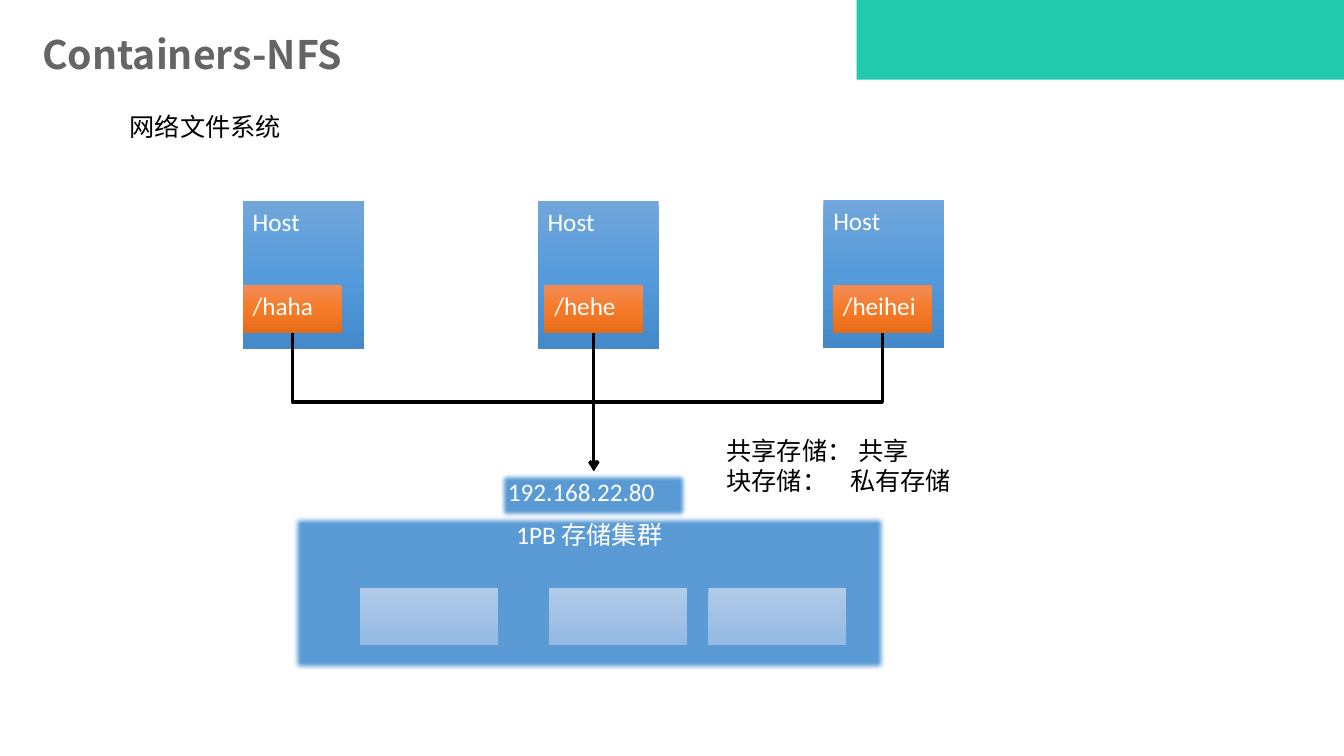
from copy import deepcopy

from lxml import etree
from pptx import Presentation
from pptx.dml.color import RGBColor
from pptx.enum.shapes import MSO_CONNECTOR, MSO_SHAPE
from pptx.enum.text import MSO_ANCHOR, PP_ALIGN
from pptx.oxml.ns import qn
from pptx.util import Cm, Pt

RECTANGLE = MSO_SHAPE.RECTANGLE
STRAIGHT, ELBOW = MSO_CONNECTOR.STRAIGHT, MSO_CONNECTOR.ELBOW
TOP, BOTTOM = MSO_ANCHOR.TOP, MSO_ANCHOR.BOTTOM
LEFT, CENTER = PP_ALIGN.LEFT, PP_ALIGN.CENTER

LATIN_FONT = "Calibri"
CJK_FONT = "Noto Sans CJK SC"

WHITE = RGBColor(0xFF, 0xFF, 0xFF)
BLACK = RGBColor(0x00, 0x00, 0x00)
GRAY = RGBColor(0x65, 0x65, 0x65)
TEAL = RGBColor(0x21, 0xC9, 0xAD)
BLUE = RGBColor(0x5B, 0x9B, 0xD5)
HOST_BLUES = [RGBColor(0x71, 0xA6, 0xDB), RGBColor(0x55, 0x9B, 0xDB), RGBColor(0x44, 0x8A, 0xCA)]
MOUNT_ORANGES = [RGBColor(0xF1, 0x8C, 0x57), RGBColor(0xF6, 0x7B, 0x28), RGBColor(0xE5, 0x6C, 0x19)]
DISK_BLUES = [RGBColor(0xB1, 0xCB, 0xE9), RGBColor(0xA3, 0xC1, 0xE5), RGBColor(0x93, 0xB9, 0xE4)]

# Content; all lengths are in centimetres
SLIDE_WIDTH, SLIDE_HEIGHT = 33.87, 19.05
TITLE = "Containers-NFS"
SUBTITLE = "网络文件系统"
NOTES = ["共享存储： 共享", "块存储：\t私有存储"]
NOTE_TAB = 3.12
CLUSTER = "1PB 存储集群"
ADDRESS = "192.168.22.80"
HOST_NAME = "Host"
# host left, host top, mount point, mount left
HOSTS = [
    (6.12, 5.07, "/haha", 6.12),
    (13.55, 5.07, "/hehe", 13.72),
    (20.75, 5.04, "/heihei", 20.99),
]
HOST_WIDTH, HOST_HEIGHT = 3.05, 3.73
MOUNT_TOP, MOUNT_WIDTH, MOUNT_HEIGHT = 7.19, 2.49, 1.2
DISK_LEFTS = [9.07, 13.83, 17.85]
DISK_TOP, DISK_WIDTH, DISK_HEIGHT = 14.81, 3.48, 1.45
ADDRESS_TOP = 11.87
SOFT_EDGE = Pt(4)

presentation = Presentation()
presentation.slide_width, presentation.slide_height = Cm(SLIDE_WIDTH), Cm(SLIDE_HEIGHT)
slide = presentation.slides.add_slide(presentation.slide_layouts[6])


def write(shape, lines, color, font=LATIN_FONT, size=18, bold=False, align=LEFT, anchor=TOP):
    frame = shape.text_frame
    frame.text = "\n".join(lines)
    frame.word_wrap = True
    frame.vertical_anchor = anchor
    for paragraph in frame.paragraphs:
        paragraph.alignment = align
        for run in paragraph.runs:
            run.font.name = font
            run.font.size = Pt(size)
            run.font.bold = bold
            run.font.color.rgb = color
            east_asian = etree.SubElement(run.font._element, qn("a:ea"))
            east_asian.set("typeface", CJK_FONT)


def add_text(box, lines, color, **style):
    shape = slide.shapes.add_textbox(*map(Cm, box))
    write(shape, lines, color, font=CJK_FONT, **style)
    return shape


def fill_gradient(shape, colors):
    """Spread the colours evenly from top to bottom."""
    shape.fill.gradient()
    shape.fill.gradient_angle = 270
    stop_list = shape._element.spPr.find(".//" + qn("a:gsLst"))
    while len(stop_list) < len(colors):
        stop_list.append(deepcopy(stop_list[0]))
    for index, (stop, color) in enumerate(zip(shape.fill.gradient_stops, colors)):
        stop.color.rgb = color
        stop.position = index / (len(colors) - 1)


def add_box(box, fill, text="", align=LEFT):
    """Add a rectangle filled with one colour, or with a list as a gradient."""
    shape = slide.shapes.add_shape(RECTANGLE, *map(Cm, box))
    shape.shadow.inherit = False
    shape.line.fill.background()
    if isinstance(fill, list):
        fill_gradient(shape, fill)
    else:
        shape.fill.solid()
        shape.fill.fore_color.rgb = fill
    if text:
        write(shape, [text], WHITE, align=align)
    return shape


def soften(shape):
    effects = shape._element.spPr.find(qn("a:effectLst"))
    etree.SubElement(effects, qn("a:softEdge")).set("rad", str(int(SOFT_EDGE)))


def add_arrow(x1, y1, x2, y2):
    """Leave and arrive vertically; an elbow is laid sideways, then turned by 90 degrees."""
    if x1 == x2:
        connector = slide.shapes.add_connector(STRAIGHT, Cm(x1), Cm(y1), Cm(x2), Cm(y2))
    else:
        center_x, center_y = (x1 + x2) / 2, (y1 + y2) / 2
        half_run, half_drop = (x2 - x1) / 2, (y2 - y1) / 2
        connector = slide.shapes.add_connector(
            ELBOW, Cm(center_x - half_drop), Cm(center_y + half_run),
            Cm(center_x + half_drop), Cm(center_y - half_run))
        connector._element.spPr.find(qn("a:xfrm")).set("rot", "5400000")
    connector.line.color.rgb = BLACK
    connector.line.width = Pt(2.25)
    properties = connector._element.spPr
    etree.SubElement(properties.find(qn("a:ln")), qn("a:tailEnd")).set("type", "arrow")
    etree.SubElement(properties, qn("a:effectLst"))


# Heading
title = add_text((0.81, 0.23, 18.9, 1.85), [TITLE], GRAY, size=28, bold=True, anchor=BOTTOM)
title.text_frame.paragraphs[0].line_spacing = 0.9
add_box((21.59, 0, SLIDE_WIDTH - 21.59, 2.01), TEAL)
add_text((3.02, 2.69, 16.28, 1.02), [SUBTITLE], BLACK)

# Storage cluster
soften(add_box((7.32, 12.95, 15.06, 3.99), BLUE, CLUSTER, CENTER))
for disk_left in DISK_LEFTS:
    add_box((disk_left, DISK_TOP, DISK_WIDTH, DISK_HEIGHT), DISK_BLUES)
soften(add_box((12.55, ADDRESS_TOP, 4.83, 1.24), BLUE, ADDRESS))

# Hosts with their mount points, all leading to the address under the middle one
target_x = HOSTS[1][3] + MOUNT_WIDTH / 2
for host_left, host_top, mount, mount_left in HOSTS:
    add_box((host_left, host_top, HOST_WIDTH, HOST_HEIGHT), HOST_BLUES, HOST_NAME)
    add_box((mount_left, MOUNT_TOP, MOUNT_WIDTH, MOUNT_HEIGHT), MOUNT_ORANGES, mount)
    add_arrow(mount_left + MOUNT_WIDTH / 2, MOUNT_TOP + MOUNT_HEIGHT, target_x, ADDRESS_TOP)

# Notes on storage types
notes = add_text((18.06, 10.85, 11.28, 1.8), NOTES, BLACK)
tab_list = etree.SubElement(notes.text_frame.paragraphs[1]._p.get_or_add_pPr(), qn("a:tabLst"))
tab = etree.SubElement(tab_list, qn("a:tab"))
tab.set("pos", str(int(Cm(NOTE_TAB))))
tab.set("algn", "l")

presentation.save("out.pptx")
